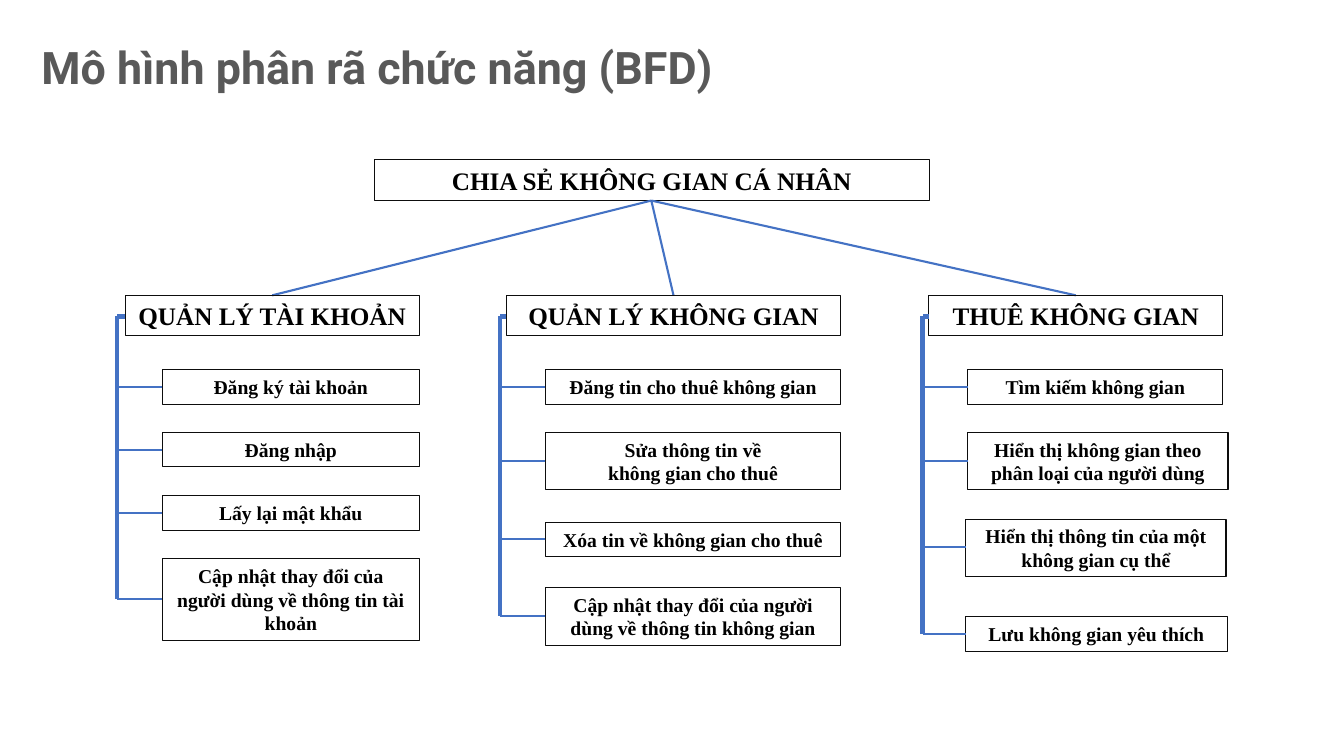
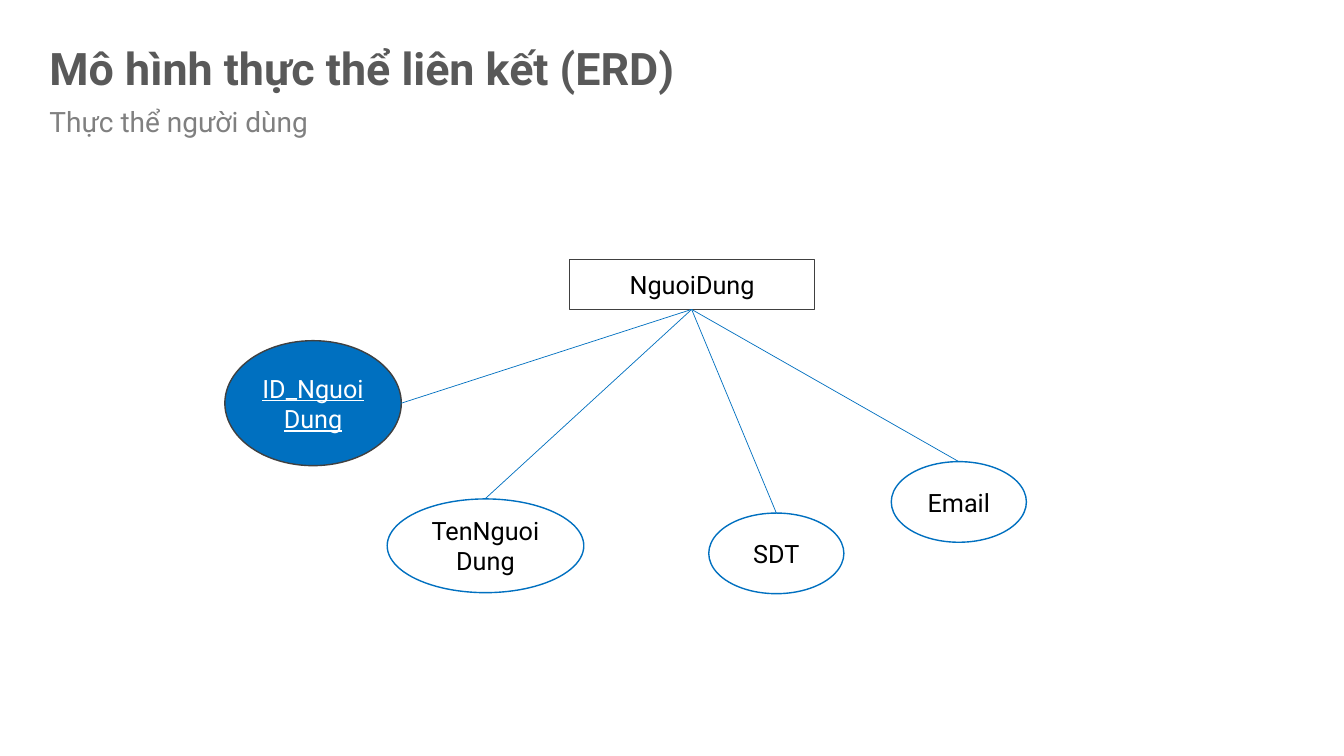
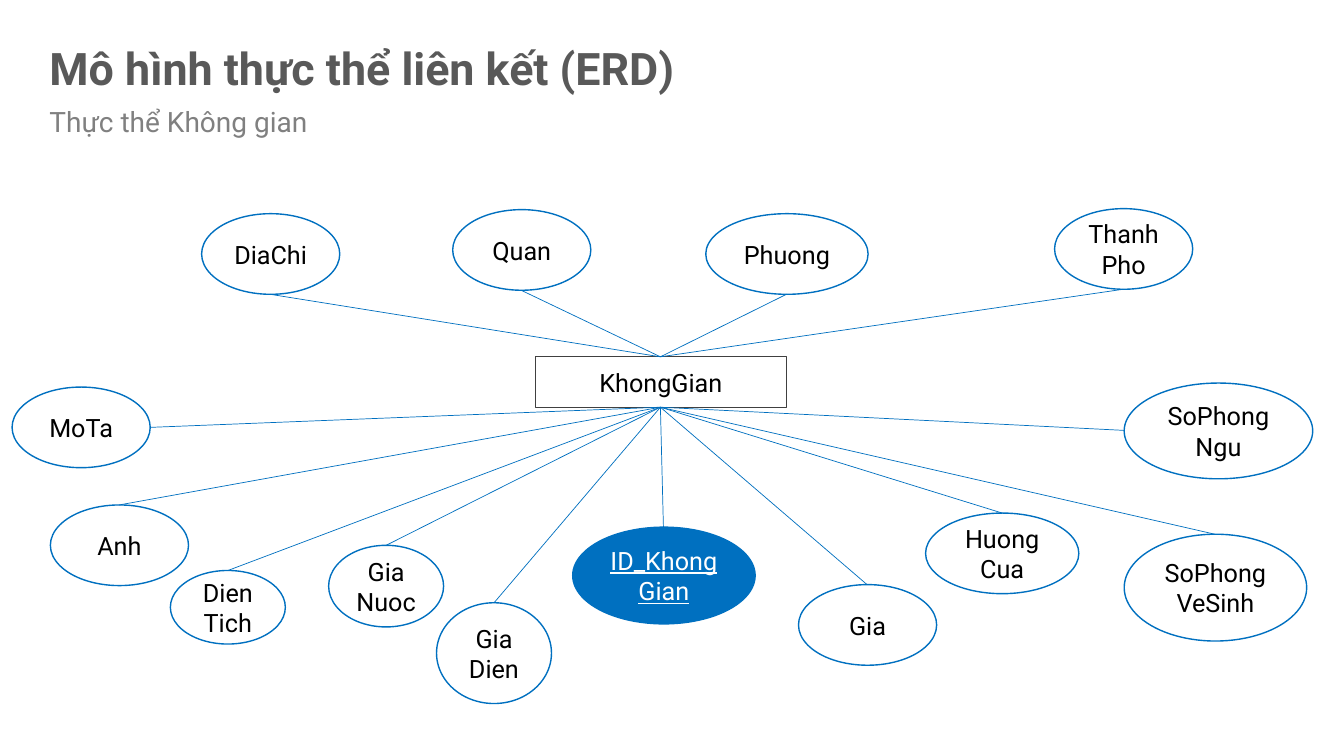
from dataclasses import dataclass

import lxml.etree
import pptx
import pptx.dml.color
import pptx.enum.shapes
import pptx.enum.text
import pptx.oxml.ns
import pptx.presentation
import pptx.shapes.autoshape
import pptx.slide
import pptx.text.text
import pptx.util

EMU_PER_PX = 9144  # 100 px to the inch
SLIDE_SIZE = (1333, 750)
TITLE_AND_BODY, TITLE_ONLY = 1, 5
SANS, SERIF = "Roboto", "Times New Roman"
COLORS = {
    "title": "595959",
    "subtitle": "808080",
    "text": "000000",
    "key_text": "FFFFFF",
    "function_outline": "0D0D0D",
    "branch": "4472C4",
    "entity_outline": "404040",
    "attribute": "0070C0",
}
RECTANGLE = pptx.enum.shapes.MSO_SHAPE.RECTANGLE
OVAL = pptx.enum.shapes.MSO_SHAPE.OVAL
CENTER = pptx.enum.text.PP_ALIGN.CENTER
LEFT = pptx.enum.text.PP_ALIGN.LEFT

Point = tuple[int, int]


@dataclass(frozen=True)
class Box:
    text: str
    left: int
    top: int
    width: int
    height: int

    def anchor(self, side: str) -> Point:
        """Return the middle of the named side."""
        middle_x = self.left + self.width // 2
        middle_y = self.top + self.height // 2
        return {
            "top": (middle_x, self.top),
            "bottom": (middle_x, self.top + self.height),
            "left": (self.left, middle_y),
            "right": (self.left + self.width, middle_y),
        }[side]


@dataclass(frozen=True)
class TextStyle:
    font: str
    size: int
    color: str
    bold: bool = False
    underline: bool = False


@dataclass(frozen=True)
class Outline:
    color: str
    width: float


@dataclass(frozen=True)
class FunctionColumn:
    header: Box
    trunk_x: int
    functions: list[Box]


@dataclass(frozen=True)
class Attribute:
    box: Box
    side: str = "top"
    is_key: bool = False
    outline: str = "attribute"


TITLE_STYLE = TextStyle(SANS, 32, "title", bold=True)
SUBTITLE_STYLE = TextStyle(SANS, 20, "subtitle")
HEADER_STYLE = TextStyle(SERIF, 18, "text", bold=True)
FUNCTION_STYLE = TextStyle(SERIF, 14, "text", bold=True)
ENTITY_STYLE = TextStyle(SANS, 18, "text")
KEY_STYLE = TextStyle(SANS, 18, "key_text", underline=True)

FUNCTION_OUTLINE = Outline("function_outline", 0.75)
ENTITY_OUTLINE = Outline("entity_outline", 0.75)
BRANCH = Outline("branch", 1.5)
TRUNK = Outline("branch", 3)
SPOKE = Outline("attribute", 0.5)

ERD_TITLE = Box("Mô hình thực thể liên kết (ERD)", 39, 35, 697, 64)

ROOT = Box("CHIA SẺ KHÔNG GIAN CÁ NHÂN", 371, 158, 551, 41)
COLUMNS = [
    FunctionColumn(Box("QUẢN LÝ TÀI KHOẢN", 124, 293, 292, 40), 116, [
        Box("Đăng ký tài khoản", 161, 367, 255, 34),
        Box("Đăng nhập", 161, 429, 255, 34),
        Box("Lấy lại mật khẩu", 161, 492, 255, 34),
        Box("Cập nhật thay đổi của người dùng về thông tin tài khoản", 161, 554, 255, 81),
    ]),
    FunctionColumn(Box("QUẢN LÝ KHÔNG GIAN", 502, 293, 332, 40), 496, [
        Box("Đăng tin cho thuê không gian", 541, 367, 293, 34),
        Box("Sửa thông tin về\nkhông gian cho thuê", 541, 429, 293, 57),
        Box("Xóa tin về không gian cho thuê", 541, 518, 293, 34),
        Box("Cập nhật thay đổi của người dùng về thông tin không gian", 541, 583, 293, 57),
    ]),
    FunctionColumn(Box("THUÊ KHÔNG GIAN", 921, 293, 292, 40), 915, [
        Box("Tìm kiếm không gian", 960, 367, 253, 34),
        Box("Hiển thị không gian theo phân loại của người dùng", 960, 429, 258, 57),
        Box("Hiển thị thông tin của một không gian cụ thể", 958, 515, 258, 57),
        Box("Lưu không gian yêu thích", 958, 612, 259, 34),
    ]),
]

USER = Box("NguoiDung", 565, 257, 243, 50)
USER_ATTRIBUTES = [
    Attribute(Box("ID_NguoiDung", 223, 338, 175, 124), "right", True, "entity_outline"),
    Attribute(Box("TenNguoiDung", 384, 495, 195, 93)),
    Attribute(Box("Email", 884, 458, 134, 80)),
    Attribute(Box("SDT", 703, 509, 134, 80)),
]

SPACE = Box("KhongGian", 531, 354, 249, 50)
SPACE_ATTRIBUTES = [
    Attribute(Box("DiaChi", 200, 212, 137, 80), "bottom"),
    Attribute(Box("Quan", 449, 208, 137, 80), "bottom"),
    Attribute(Box("Phuong", 700, 212, 161, 80), "bottom"),
    Attribute(Box("ThanhPho", 1046, 207, 137, 80), "bottom"),
    Attribute(Box("MoTa", 12, 384, 137, 80), "right"),
    Attribute(Box("Anh", 50, 501, 137, 80)),
    Attribute(Box("DienTich", 169, 566, 114, 73)),
    Attribute(Box("Gia\nNuoc", 326, 541, 114, 81)),
    Attribute(Box("Gia\nDien", 433, 598, 114, 100)),
    Attribute(Box("ID_KhongGian", 568, 523, 181, 96), is_key=True),
    Attribute(Box("Gia", 792, 580, 137, 80)),
    Attribute(Box("HuongCua", 918, 509, 152, 80)),
    Attribute(Box("SoPhongVeSinh", 1115, 530, 181, 106)),
    Attribute(Box("SoPhongNgu", 1115, 380, 187, 95), "left"),
]


def px(length: int) -> pptx.util.Emu:
    return pptx.util.Emu(length * EMU_PER_PX)


def rgb(name: str) -> pptx.dml.color.RGBColor:
    return pptx.dml.color.RGBColor.from_string(COLORS[name])


def write_text(
    text_frame: pptx.text.text.TextFrame,
    text: str,
    style: TextStyle,
    alignment: pptx.enum.text.PP_ALIGN,
) -> None:
    text_frame.text = text
    text_frame.word_wrap = True
    text_frame.auto_size = pptx.enum.text.MSO_AUTO_SIZE.NONE
    for paragraph in text_frame.paragraphs:
        paragraph.alignment = alignment
        for run in paragraph.runs:
            run.font.name = style.font
            run.font.size = pptx.util.Pt(style.size)
            run.font.bold = style.bold
            run.font.underline = style.underline
            run.font.color.rgb = rgb(style.color)


def fill_placeholder(
    placeholder: pptx.shapes.autoshape.Shape, box: Box, style: TextStyle
) -> None:
    """Move a title or body placeholder and write it as plain left-aligned text."""
    placeholder.left, placeholder.top = px(box.left), px(box.top)
    placeholder.width, placeholder.height = px(box.width), px(box.height)
    write_text(placeholder.text_frame, box.text, style, LEFT)
    placeholder.text_frame.vertical_anchor = pptx.enum.text.MSO_ANCHOR.TOP
    for paragraph in placeholder.text_frame.paragraphs:
        properties = paragraph._p.get_or_add_pPr()
        properties.set("marL", "0")
        properties.set("indent", "0")
        lxml.etree.SubElement(properties, pptx.oxml.ns.qn("a:buNone"))
        paragraph.space_before = pptx.util.Pt(0)


def draw_box(
    slide: pptx.slide.Slide,
    box: Box,
    style: TextStyle,
    outline: Outline,
    kind: pptx.enum.shapes.MSO_SHAPE = RECTANGLE,
    fill: str | None = None,
) -> None:
    shape = slide.shapes.add_shape(
        kind, px(box.left), px(box.top), px(box.width), px(box.height)
    )
    shape.shadow.inherit = False
    if fill:
        shape.fill.solid()
        shape.fill.fore_color.rgb = rgb(fill)
    else:
        shape.fill.background()
    shape.line.color.rgb = rgb(outline.color)
    shape.line.width = pptx.util.Pt(outline.width)
    write_text(shape.text_frame, box.text, style, CENTER)
    shape.text_frame.vertical_anchor = pptx.enum.text.MSO_ANCHOR.MIDDLE


def draw_line(slide: pptx.slide.Slide, start: Point, end: Point, outline: Outline) -> None:
    connector = slide.shapes.add_connector(
        pptx.enum.shapes.MSO_CONNECTOR.STRAIGHT, *map(px, start + end)
    )
    connector.line.color.rgb = rgb(outline.color)
    connector.line.width = pptx.util.Pt(outline.width)
    lxml.etree.SubElement(connector._element.spPr, pptx.oxml.ns.qn("a:effectLst"))


def draw_column(slide: pptx.slide.Slide, column: FunctionColumn) -> None:
    """Draw a header with its functions hanging from a trunk on the left."""
    draw_line(slide, ROOT.anchor("bottom"), column.header.anchor("top"), BRANCH)
    draw_box(slide, column.header, HEADER_STYLE, FUNCTION_OUTLINE)
    header_x, header_y = column.header.anchor("left")
    trunk_top = (column.trunk_x, header_y + 1)
    trunk_bottom = (column.trunk_x, column.functions[-1].anchor("left")[1])
    draw_line(slide, (header_x, header_y + 1), trunk_top, TRUNK)
    draw_line(slide, trunk_top, trunk_bottom, TRUNK)
    for function in column.functions:
        draw_box(slide, function, FUNCTION_STYLE, FUNCTION_OUTLINE)
        start = function.anchor("left")
        draw_line(slide, start, (column.trunk_x, start[1]), BRANCH)


def add_function_slide(presentation: pptx.presentation.Presentation) -> None:
    slide = presentation.slides.add_slide(presentation.slide_layouts[TITLE_ONLY])
    title = Box("Mô hình phân rã chức năng (BFD)", 31, 34, 688, 64)
    fill_placeholder(slide.shapes.title, title, TITLE_STYLE)
    draw_box(slide, ROOT, HEADER_STYLE, FUNCTION_OUTLINE)
    for column in COLUMNS:
        draw_column(slide, column)


def add_entity_slide(
    presentation: pptx.presentation.Presentation,
    subtitle: str,
    entity: Box,
    attributes: list[Attribute],
) -> None:
    slide = presentation.slides.add_slide(presentation.slide_layouts[TITLE_AND_BODY])
    fill_placeholder(slide.shapes.title, ERD_TITLE, TITLE_STYLE)
    fill_placeholder(slide.placeholders[1], Box(subtitle, 39, 99, 697, 44), SUBTITLE_STYLE)
    draw_box(slide, entity, ENTITY_STYLE, ENTITY_OUTLINE)
    for attribute in attributes:
        draw_box(
            slide,
            attribute.box,
            KEY_STYLE if attribute.is_key else ENTITY_STYLE,
            Outline(attribute.outline, 1),
            OVAL,
            "attribute" if attribute.is_key else None,
        )
        entity_side = "top" if attribute.side == "bottom" else "bottom"
        draw_line(
            slide, entity.anchor(entity_side), attribute.box.anchor(attribute.side), SPOKE
        )


def main() -> None:
    presentation = pptx.Presentation()
    presentation.slide_width, presentation.slide_height = map(px, SLIDE_SIZE)
    add_function_slide(presentation)
    add_entity_slide(presentation, "Thực thể người dùng", USER, USER_ATTRIBUTES)
    add_entity_slide(presentation, "Thực thể Không gian", SPACE, SPACE_ATTRIBUTES)
    presentation.save("out.pptx")


if __name__ == "__main__":
    main()
